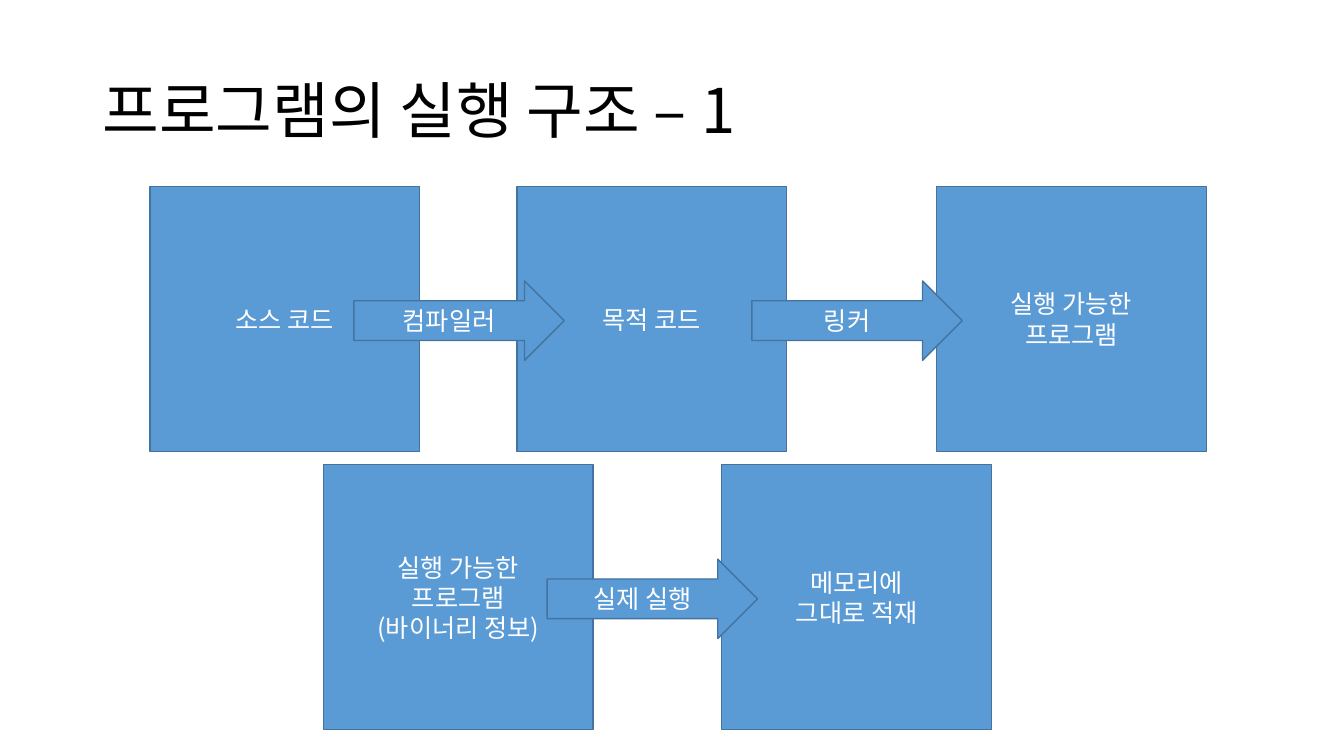
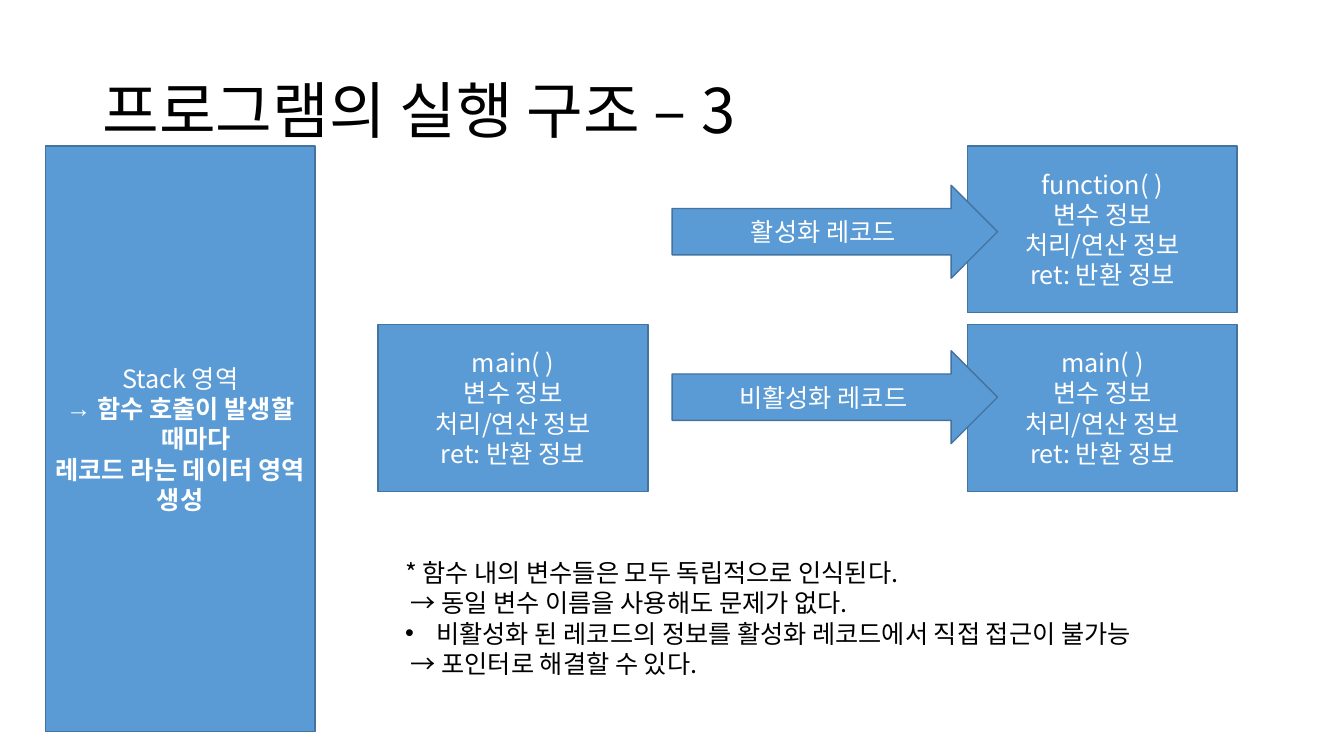
from lxml import etree
from pptx import Presentation
from pptx.dml.color import RGBColor
from pptx.enum.shapes import MSO_SHAPE
from pptx.enum.text import MSO_ANCHOR, MSO_AUTO_SIZE, PP_ALIGN
from pptx.oxml.ns import qn
from pptx.util import Cm, Pt

# Shared style
FONT = "Noto Sans CJK KR"
BLUE = RGBColor(0x5B, 0x9B, 0xD5)
EDGE = RGBColor(0x43, 0x73, 0x9E)
WHITE = RGBColor(0xFF, 0xFF, 0xFF)
BLACK = RGBColor(0, 0, 0)
TITLE_AREA = (2.33, 1.01, 29.21, 3.68)
BOX_W = 6.8
HANGING = Cm(0.79)

# Content: paragraphs are (text, bullet, bold); positions are in cm
def plain(*lines):
    return [(line, None, False) for line in lines]


def record(name):
    return plain(name, "변수 정보", "처리/연산 정보", "ret: 반환 정보")


STAGE_H, STEP_SIZE = 6.68, (5.3, 2.0)
ROW_1, ROW_2 = 4.7, 11.71
STAGES = [
    (3.78, ROW_1, plain("소스 코드")),
    (13.03, ROW_1, plain("목적 코드")),
    (23.6, ROW_1, plain("실행 가능한", "프로그램")),
    (8.15, ROW_2, plain("실행 가능한", "프로그램", "(바이너리 정보)")),
    (18.19, ROW_2, plain("메모리에", "그대로 적재")),
]
STEPS = [(8.92, ROW_1, "컴파일러"), (18.95, ROW_1, "링커"), (13.79, ROW_2, "실제 실행")]

RECORD_H, LABEL_SIZE = 4.2, (8.2, 2.34)
TOP_RECORD, LOW_RECORD = 3.68, 8.18
STACK = plain("Stack 영역") + [
    ("함수 호출이 발생할 때마다", "→", True),
    ("레코드 라는 데이터 영역 생성", None, True),
]
RECORDS = [
    (9.53, LOW_RECORD, record("main( )")),
    (24.38, LOW_RECORD, record("main( )")),
    (24.38, TOP_RECORD, record("function( )")),
]
LABELS = [(16.94, 4.67, "활성화 레코드"), (16.94, 8.84, "비활성화 레코드")]
NOTES = plain("* 함수 내의 변수들은 모두 독립적으로 인식된다.",
              " → 동일 변수 이름을 사용해도 문제가 없다.")
NOTES += [("비활성화 된 레코드의 정보를 활성화 레코드에서 직접 접근이 불가능", "•", False)]
NOTES += plain(" → 포인터로 해결할 수 있다.")


# Text helpers
def write(frame, paragraphs, size, color, align):
    for i, (text, bullet, bold) in enumerate(paragraphs):
        para = frame.paragraphs[0] if i == 0 else frame.add_paragraph()
        para.alignment = align
        run = para.add_run()
        run.text = text
        run.font.size = Pt(size)
        run.font.bold = bold
        run.font.color.rgb = color
        run.font.name = FONT
        etree.SubElement(run.font._element, qn("a:ea")).set("typeface", FONT)
        if bullet:
            props = para._p.get_or_add_pPr()
            props.set("marL", str(HANGING))
            props.set("indent", str(-HANGING))
            etree.SubElement(props, qn("a:buFont")).set("typeface", "Arial")
            etree.SubElement(props, qn("a:buChar")).set("char", bullet)


def add_block(slide, kind, area, paragraphs):
    shape = slide.shapes.add_shape(kind, *map(Cm, area))
    shape.shadow.inherit = False
    shape.fill.solid()
    shape.fill.fore_color.rgb = BLUE
    shape.line.color.rgb = EDGE
    shape.line.width = Pt(1)
    write(shape.text_frame, paragraphs, 18, WHITE, PP_ALIGN.CENTER)


def add_slide(title_text):
    slide = prs.slides.add_slide(prs.slide_layouts[5])
    title = slide.shapes.title
    title.left, title.top, title.width, title.height = map(Cm, TITLE_AREA)
    title.text_frame.vertical_anchor = MSO_ANCHOR.MIDDLE
    write(title.text_frame, plain(title_text), 44, BLACK, PP_ALIGN.LEFT)
    title.text_frame.paragraphs[0].line_spacing = 0.9
    return slide


prs = Presentation()
prs.slide_width, prs.slide_height = Cm(33.87), Cm(19.05)

# Slide 1: from source code to memory
slide = add_slide("프로그램의 실행 구조 – 1")
for left, top, lines in STAGES:
    add_block(slide, MSO_SHAPE.RECTANGLE, (left, top, BOX_W, STAGE_H), lines)
for left, row, label in STEPS:
    top = row + (STAGE_H - STEP_SIZE[1]) / 2 + 0.04
    add_block(slide, MSO_SHAPE.RIGHT_ARROW, (left, top, *STEP_SIZE), plain(label))

# Slide 2: stack and activation records
slide = add_slide("프로그램의 실행 구조 – 3")
add_block(slide, MSO_SHAPE.RECTANGLE, (1.14, TOP_RECORD, BOX_W, 14.76), STACK)
for left, top, lines in RECORDS:
    add_block(slide, MSO_SHAPE.RECTANGLE, (left, top, BOX_W, RECORD_H), lines)
for left, top, label in LABELS:
    add_block(slide, MSO_SHAPE.RIGHT_ARROW, (left, top, *LABEL_SIZE), plain(label))

notes = slide.shapes.add_textbox(Cm(9.96), Cm(13.92), Cm(21.08), Cm(3.33))
notes.text_frame.word_wrap = False
notes.text_frame.auto_size = MSO_AUTO_SIZE.SHAPE_TO_FIT_TEXT
write(notes.text_frame, NOTES, 18, BLACK, PP_ALIGN.LEFT)

prs.save("out.pptx")
